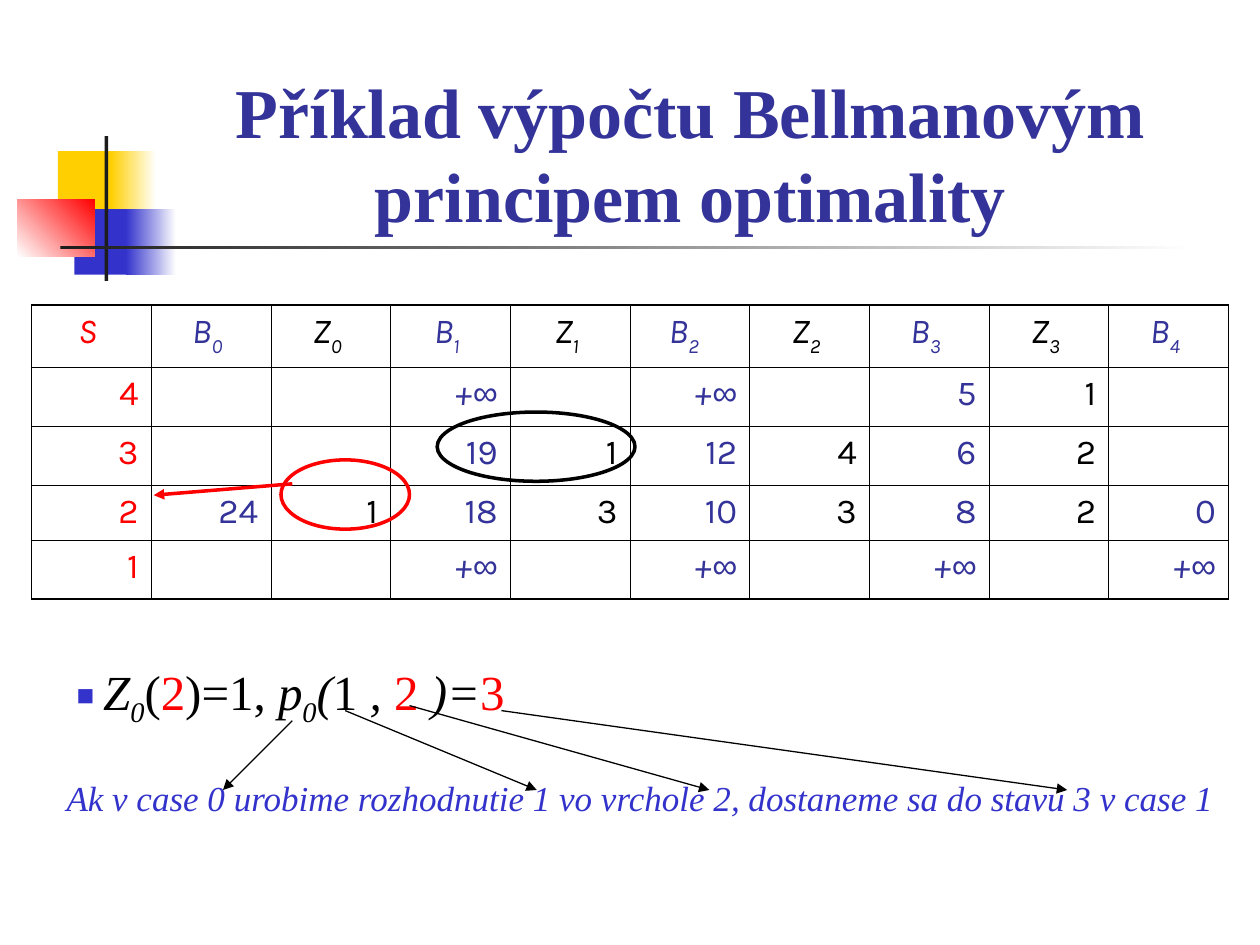
from dataclasses import dataclass
from typing import Optional

from lxml import etree
from pptx import Presentation
from pptx.dml.color import RGBColor
from pptx.enum.shapes import MSO_CONNECTOR, MSO_SHAPE
from pptx.enum.text import MSO_ANCHOR, PP_ALIGN
from pptx.oxml.ns import qn
from pptx.util import Inches, Pt

RECTANGLE, OVAL = MSO_SHAPE.RECTANGLE, MSO_SHAPE.OVAL
STRAIGHT = MSO_CONNECTOR.STRAIGHT
BOTTOM = MSO_ANCHOR.BOTTOM
LEFT, CENTER, RIGHT = PP_ALIGN.LEFT, PP_ALIGN.CENTER, PP_ALIGN.RIGHT

COLORS = {
    "yellow": "FFCF01",
    "blue": "3333CC",
    "indigo": "333399",
    "red": "FF0000",
    "charcoal": "1C1C1C",
    "black": "000000",
    "white": "FFFFFF",
}
SERIF, TABLE_FONT, SYMBOL_FONT = "Times New Roman", "Karla", "Arial"


@dataclass
class Block:
    box: tuple[float, float, float, float]
    start: str
    end: Optional[str] = None
    angle: float = 0


@dataclass
class Ring:
    box: tuple[float, float, float, float]
    color: str


@dataclass
class Arrow:
    start: tuple[float, float]
    end: tuple[float, float]
    color: str = "black"
    width: float = 0.75


@dataclass
class Piece:
    text: str
    color: str = "black"
    italic: bool = False
    baseline: int = 0
    font: Optional[str] = None


ORNAMENTS = [
    Block((0.46, 1.2, 0.48, 0.52), "yellow"),
    Block((0.88, 1.2, 0.36, 0.52), "yellow", "white"),
    Block((0.59, 1.66, 0.46, 0.52), "blue"),
    Block((1, 1.66, 0.4, 0.52), "blue", "white"),
    Block((0.14, 1.58, 0.61, 0.46), "white", "red", 45),
    Block((0.83, 1.08, 0.03, 1.15), "charcoal"),
    Block((0.48, 1.95, 9, 0.03), "charcoal", "white"),
]
COLUMN_COLORS = {"S": "red", "B": "indigo", "Z": "black"}
HEADINGS = ["S", "B0", "Z0", "B1", "Z1", "B2 ", "Z2", "B3", "Z3", "B4"]
STATES = [
    ["4", "", "", "+∞", "", "+∞", "", "5", "1", ""],
    ["3", "", "", "19", "1", "12", "4", "6", "2", ""],
    ["2", "24", "1", "18", "3", "10", "3", "8", "2", "0"],
    ["1", "", "", "+∞", "", "+∞", "", "+∞", "", "+∞"],
]
ROW_HEIGHTS = [0.48, 0.47, 0.47, 0.42, 0.47]
COLUMN_WIDTH = 0.95
OUTER_BORDER, INNER_BORDER = 1.08, 0.45
DECISION = [
    Piece("Z", italic=True), Piece("0", italic=True, baseline=-25),
    Piece("("), Piece("2", "red"), Piece(")=1, "),
    Piece("p", italic=True), Piece("0", italic=True, baseline=-25),
    Piece("(", italic=True), Piece("1"), Piece(" , ", italic=True),
    Piece("2", "red"), Piece(" )=", italic=True), Piece("3", "red"),
]
EXPLANATION = ("Ak v case 0 urobime rozhodnutie 1 vo vrchole 2, "
               "dostaneme sa do stavu 3 v case 1")
DECISION_RING = Ring((2.23, 3.65, 1.02, 0.55), "red")
NEXT_RING = Ring((3.47, 3.27, 1.57, 0.55), "black")
STATE_ARROW = Arrow((2.32, 3.84), (1.22, 3.93), "red", 2)
EXPLANATION_ARROWS = [
    Arrow((2.32, 5.72), (1.77, 6.27)),
    Arrow((2.74, 5.64), (4.26, 6.27)),
    Arrow((3.25, 5.6), (5.63, 6.27)),
    Arrow((3.98, 5.64), (8.47, 6.27)),
]


def rgb(name: str) -> RGBColor:
    return RGBColor.from_string(COLORS[name])


def add_block(slide, block: Block) -> None:
    shape = slide.shapes.add_shape(RECTANGLE, *map(Inches, block.box))
    shape.shadow.inherit = False
    shape.line.fill.background()
    if block.end is None:
        shape.fill.solid()
        shape.fill.fore_color.rgb = rgb(block.start)
        return
    shape.fill.gradient()
    shape.fill.gradient_angle = block.angle
    for stop, color in zip(shape.fill.gradient_stops, (block.start, block.end)):
        stop.color.rgb = rgb(color)


def add_ring(slide, ring: Ring) -> None:
    shape = slide.shapes.add_shape(OVAL, *map(Inches, ring.box))
    shape.shadow.inherit = False
    shape.fill.background()
    shape.line.color.rgb = rgb(ring.color)
    shape.line.width = Pt(2)


def add_arrow(slide, arrow: Arrow) -> None:
    connector = slide.shapes.add_connector(
        STRAIGHT, *map(Inches, arrow.start + arrow.end))
    connector.line.color.rgb = rgb(arrow.color)
    connector.line.width = Pt(arrow.width)
    properties = connector.element.spPr
    etree.SubElement(properties.find(qn("a:ln")), qn("a:tailEnd"), type="triangle")
    etree.SubElement(properties, qn("a:effectLst"))


def write(paragraph, pieces: list[Piece], font: str, size: float, align=LEFT) -> None:
    paragraph.alignment = align
    paragraph.font.name = font
    paragraph.font.size = Pt(size)
    for piece in pieces:
        run = paragraph.add_run()
        run.text = piece.text
        run.font.color.rgb = rgb(piece.color)
        run.font.italic = piece.italic
        if piece.font:
            run.font.name = piece.font
        if piece.baseline:
            run.font._element.set("baseline", str(piece.baseline * 1000))


def add_text_frame(slide, box: tuple[float, float, float, float], wrap: bool = True):
    frame = slide.shapes.add_textbox(*map(Inches, box)).text_frame
    frame.word_wrap = wrap
    return frame


def add_bullet(paragraph) -> None:
    properties = paragraph._p.get_or_add_pPr()
    properties.set("marL", str(Inches(0.21)))
    properties.set("indent", str(-Inches(0.21)))
    color = etree.SubElement(properties, qn("a:buClr"))
    etree.SubElement(color, qn("a:srgbClr"), val=COLORS["blue"])
    etree.SubElement(properties, qn("a:buSzPct"), val="60000")
    etree.SubElement(properties, qn("a:buFont"), typeface=SYMBOL_FONT)
    etree.SubElement(properties, qn("a:buChar"), char="■")


def set_borders(cell, outer_edges: dict[str, bool]) -> None:
    properties = cell._tc.get_or_add_tcPr()
    for edge, is_outer in outer_edges.items():
        width = Pt(OUTER_BORDER if is_outer else INNER_BORDER)
        line = etree.SubElement(properties, qn(f"a:ln{edge}"), w=str(width))
        fill = etree.SubElement(line, qn("a:solidFill"))
        etree.SubElement(fill, qn("a:srgbClr"), val=COLORS["black"])


def cell_pieces(text: str, color: str, is_heading: bool) -> list[Piece]:
    if is_heading:
        pieces = [Piece(text[0], color, True), Piece(text[1:], color, True, -30)]
    elif text == "+∞":
        pieces = [Piece("+", color, True), Piece("∞", color, True, font=SYMBOL_FONT)]
    else:
        pieces = [Piece(text, color)]
    return [piece for piece in pieces if piece.text]


def add_state_table(slide) -> None:
    rows = [HEADINGS, *STATES]
    last_row, last_column = len(rows) - 1, len(HEADINGS) - 1
    table = slide.shapes.add_table(
        len(rows), len(HEADINGS), Inches(0.25), Inches(2.42),
        Inches(COLUMN_WIDTH * len(HEADINGS)), Inches(sum(ROW_HEIGHTS))).table
    table.first_row = table.horz_banding = False
    for column in table.columns:
        column.width = Inches(COLUMN_WIDTH)
    for r, (texts, height) in enumerate(zip(rows, ROW_HEIGHTS)):
        table.rows[r].height = Inches(height)
        for c, text in enumerate(texts):
            cell = table.cell(r, c)
            cell.margin_left, cell.margin_right = Inches(0.04), Inches(0.1)
            set_borders(cell, {"L": c == 0, "R": c == last_column,
                               "T": r == 0, "B": r == last_row})
            cell.fill.background()
            pieces = cell_pieces(text, COLUMN_COLORS[HEADINGS[c][0]], r == 0)
            write(cell.text_frame.paragraphs[0], pieces, TABLE_FONT, 20,
                  CENTER if r == 0 else RIGHT)


def main() -> None:
    presentation = Presentation()
    presentation.slide_width, presentation.slide_height = Inches(10), Inches(7.5)
    slide = presentation.slides.add_slide(presentation.slide_layouts[6])
    for block in ORNAMENTS:
        add_block(slide, block)

    title_frame = add_text_frame(slide, (1.22, 0.68, 8.52, 1.25))
    title_frame.vertical_anchor = BOTTOM
    title = title_frame.paragraphs[0]
    write(title, [Piece("Příklad výpočtu Bellmanovým principem optimality", "indigo")],
          SERIF, 40, CENTER)
    title.font.bold = True
    title.line_spacing = Pt(48)

    add_state_table(slide)
    add_ring(slide, DECISION_RING)
    add_arrow(slide, STATE_ARROW)

    decision = add_text_frame(slide, (0.51, 5.2, 8.11, 1.1)).paragraphs[0]
    add_bullet(decision)
    write(decision, DECISION, SERIF, 28)
    add_ring(slide, NEXT_RING)

    explanation = add_text_frame(slide, (0.43, 6.11, 9.33, 0.44), wrap=False)
    write(explanation.paragraphs[0], [Piece(EXPLANATION, "blue", True)], SERIF, 20)
    for arrow in EXPLANATION_ARROWS:
        add_arrow(slide, arrow)

    presentation.save("out.pptx")


if __name__ == "__main__":
    main()
